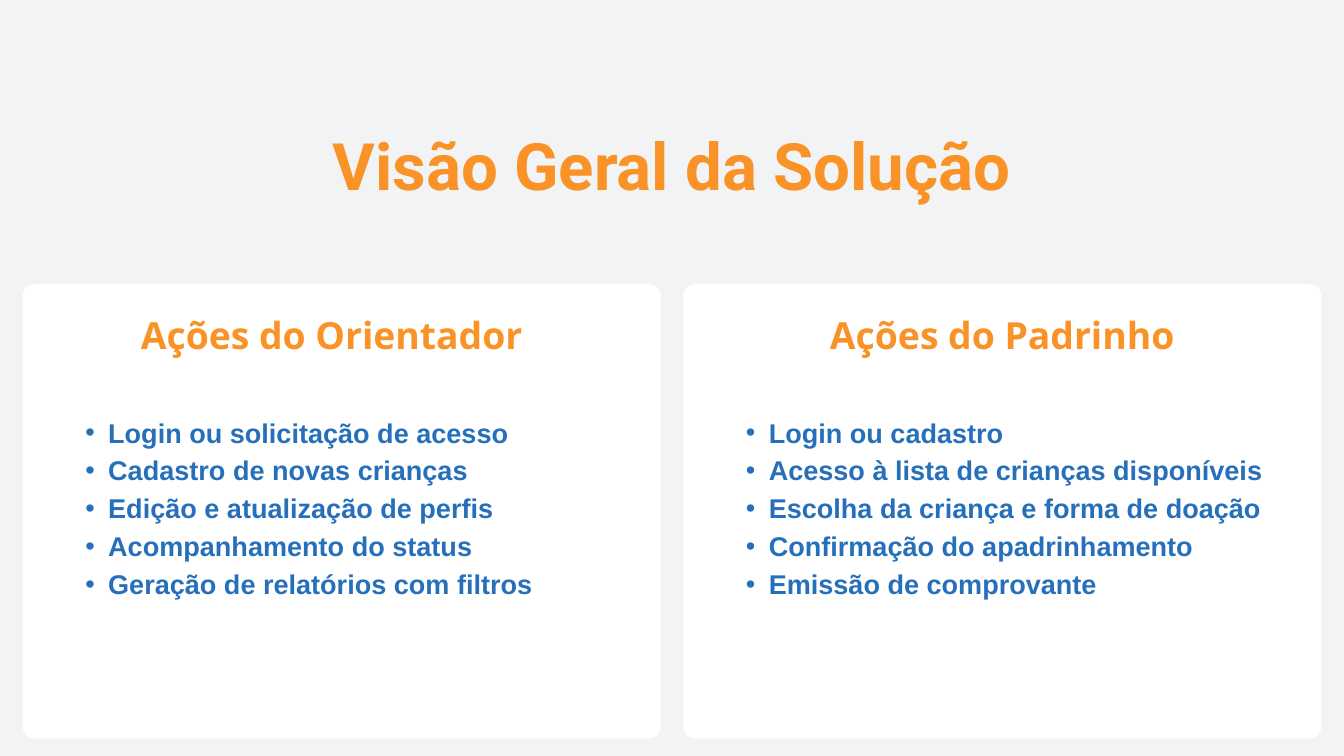
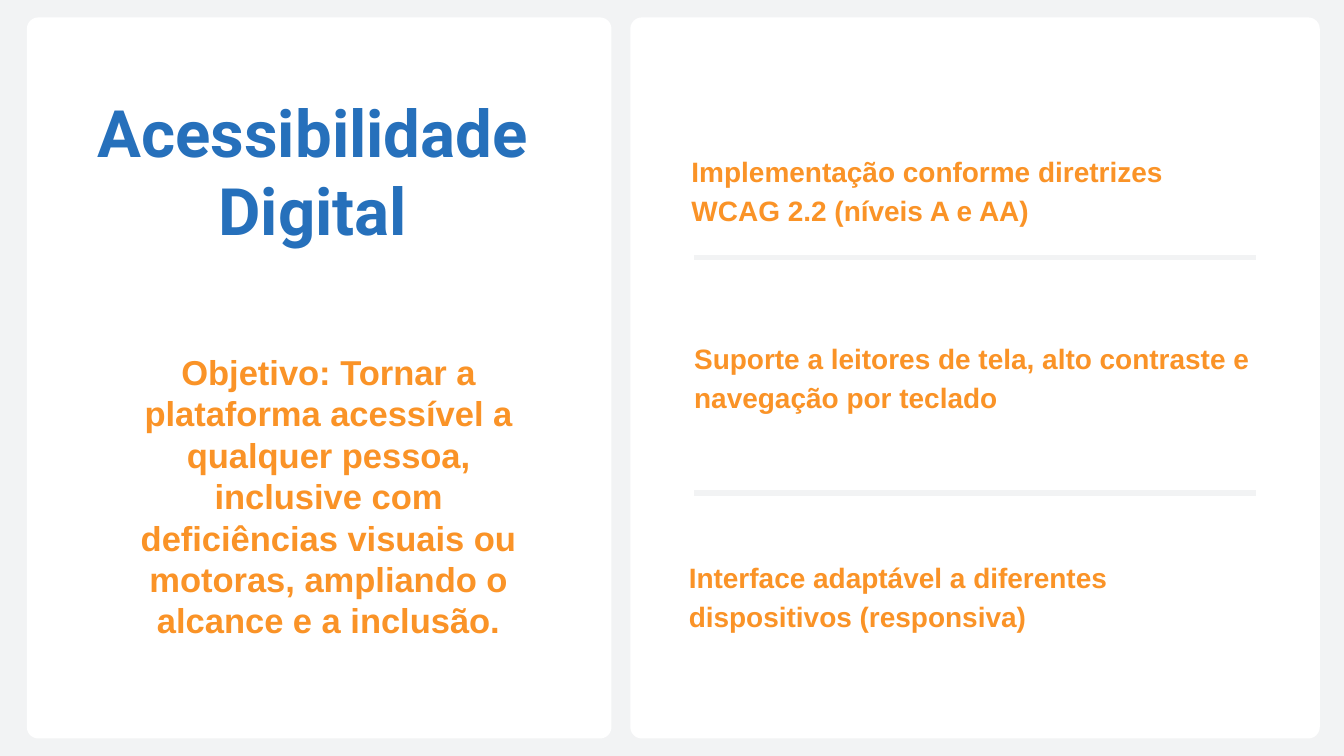
import lxml.etree
import pptx
import pptx.dml.color
import pptx.enum.shapes
import pptx.enum.text
import pptx.oxml.ns
import pptx.util
from pptx.util import Inches, Pt

ORANGE, BLUE, WHITE, PALE = "FA9327", "2670BB", "FFFFFF", "F2F3F4"
LEFT, CENTER = pptx.enum.text.PP_ALIGN.LEFT, pptx.enum.text.PP_ALIGN.CENTER
COMPARISON_LAYOUT, CONTENT_LAYOUT = 4, 1
CARD_RADIUS = 0.17
CARD_BOTTOM = 10.99

# Font, size and line spacing in points
TITLE = ("Roboto", 70, 84)
HEADING = ("Open Sans", 40, 56)
LIST = ("Arial", 29, 40.6)
GUIDELINE = ("Arial", 30, 42)
OBJECTIVE = ("Arial", 37, 44.4)

OVERVIEW_TITLE = "Visão Geral da Solução"
# Heading, heading left and width, actions
ROLES = [
    ("Ações do Orientador", 0.93, 8.01, [
        "Login ou solicitação de acesso",
        "Cadastro de novas crianças",
        "Edição e atualização de perfis",
        "Acompanhamento do status",
        "Geração de relatórios com filtros",
    ]),
    ("Ações do Padrinho", 12.35, 5.13, [
        "Login ou cadastro",
        "Acesso à lista de crianças disponíveis",
        "Escolha da criança e forma de doação",
        "Confirmação do apadrinhamento",
        "Emissão de comprovante",
    ]),
]

ACCESSIBILITY_TITLE = "Acessibilidade Digital"
OBJECTIVE_TEXT = (
    "Objetivo: Tornar a plataforma acessível a qualquer pessoa, inclusive com "
    "deficiências visuais ou motoras, ampliando o alcance e a inclusão."
)
# Text, left, top
GUIDELINES = [
    ("Implementação conforme diretrizes WCAG 2.2 (níveis A e AA)", 10.29, 2.21),
    ("Suporte a leitores de tela, alto contraste e navegação por teclado", 10.33, 5),
    ("Interface adaptável a diferentes dispositivos (responsiva)", 10.25, 8.26),
]
DIVIDER_TOPS = [3.83, 7.34]


def rgb(value):
    return pptx.dml.color.RGBColor.from_string(value)


def add_slide(presentation, layout):
    slide = presentation.slides.add_slide(presentation.slide_layouts[layout])
    slide.background.fill.solid()
    slide.background.fill.fore_color.rgb = rgb(PALE)
    return slide


def add_card(slide, left, top, width):
    """Draw a white rounded card behind everything else on the slide."""
    height = CARD_BOTTOM - top
    card = slide.shapes.add_shape(
        pptx.enum.shapes.MSO_SHAPE.ROUNDED_RECTANGLE,
        Inches(left), Inches(top), Inches(width), Inches(height))
    card.adjustments[0] = CARD_RADIUS / min(width, height)
    card.shadow.inherit = False
    card.fill.solid()
    card.fill.fore_color.rgb = rgb(WHITE)
    card.line.fill.background()
    slide.shapes.element.insert(2, card.element)


def set_bullet(paragraph, bulleted):
    properties = paragraph._p.get_or_add_pPr()
    properties.set("marL", str(Inches(0.68 if bulleted else 0)))
    properties.set("indent", str(Inches(-0.34 if bulleted else 0)))
    tag = "a:buChar" if bulleted else "a:buNone"
    bullet = lxml.etree.SubElement(properties, pptx.oxml.ns.qn(tag))
    if bulleted:
        bullet.set("char", "•")


def write(shape, box, lines, style, color, alignment=LEFT, bulleted=False):
    """Place a placeholder or text box and fill it, one paragraph a line."""
    shape.left, shape.top, shape.width, shape.height = map(Inches, box)
    frame = shape.text_frame
    frame.word_wrap = True
    frame.auto_size = pptx.enum.text.MSO_AUTO_SIZE.NONE
    frame.vertical_anchor = pptx.enum.text.MSO_ANCHOR.TOP
    frame.margin_left = frame.margin_right = 0
    frame.margin_top = frame.margin_bottom = 0
    frame.text = "\n".join(lines)
    name, size, spacing = style
    for paragraph in frame.paragraphs:
        set_bullet(paragraph, bulleted)
        paragraph.alignment = alignment
        paragraph.line_spacing = Pt(spacing)
        paragraph.space_before = Pt(0)
        paragraph.font.name = name
        paragraph.font.size = Pt(size)
        paragraph.font.bold = True
        paragraph.font.color.rgb = rgb(color)


def add_divider(slide, top):
    divider = slide.shapes.add_connector(
        pptx.enum.shapes.MSO_CONNECTOR.STRAIGHT,
        Inches(10.33), Inches(top), Inches(18.69), Inches(top))
    divider.line.color.rgb = rgb(PALE)
    divider.line.width = Pt(6)
    lxml.etree.SubElement(divider.element.spPr, pptx.oxml.ns.qn("a:effectLst"))


def build_overview(presentation):
    slide = add_slide(presentation, COMPARISON_LAYOUT)
    write(slide.shapes.title, (4.26, 1.87, 11.47, 1.15), [OVERVIEW_TITLE],
          TITLE, ORANGE, CENTER)
    for index, (heading, heading_left, heading_width, actions) in enumerate(ROLES):
        offset = 9.83 * index
        add_card(slide, 0.34 + offset, 4.23, 9.49)
        write(slide.placeholders[1 + 2 * index],
              (heading_left, 4.54, heading_width, 0.75), [heading],
              HEADING, ORANGE, CENTER)
        write(slide.placeholders[2 + 2 * index],
              (0.93 + offset, 6.11, 8.9, 2.79), actions,
              LIST, BLUE, bulleted=True)


def build_accessibility(presentation):
    slide = add_slide(presentation, CONTENT_LAYOUT)
    add_card(slide, 0.4, 0.26, 8.7)
    add_card(slide, 9.38, 0.26, 10.26)
    write(slide.shapes.title, (1.12, 1.37, 7.07, 2.31), [ACCESSIBILITY_TITLE],
          TITLE, BLUE, CENTER)
    write(slide.placeholders[1], (2.08, 5.22, 5.62, 4.31), [OBJECTIVE_TEXT],
          OBJECTIVE, ORANGE, CENTER)
    for top in DIVIDER_TOPS:
        add_divider(slide, top)
    for text, left, top in GUIDELINES:
        write(slide.shapes.add_textbox(0, 0, 0, 0), (left, top, 8.44, 1.12),
              [text], GUIDELINE, ORANGE)


def main():
    presentation = pptx.Presentation()
    presentation.slide_width = Inches(20)
    presentation.slide_height = Inches(11.25)
    build_overview(presentation)
    build_accessibility(presentation)
    presentation.save("out.pptx")


if __name__ == "__main__":
    main()
